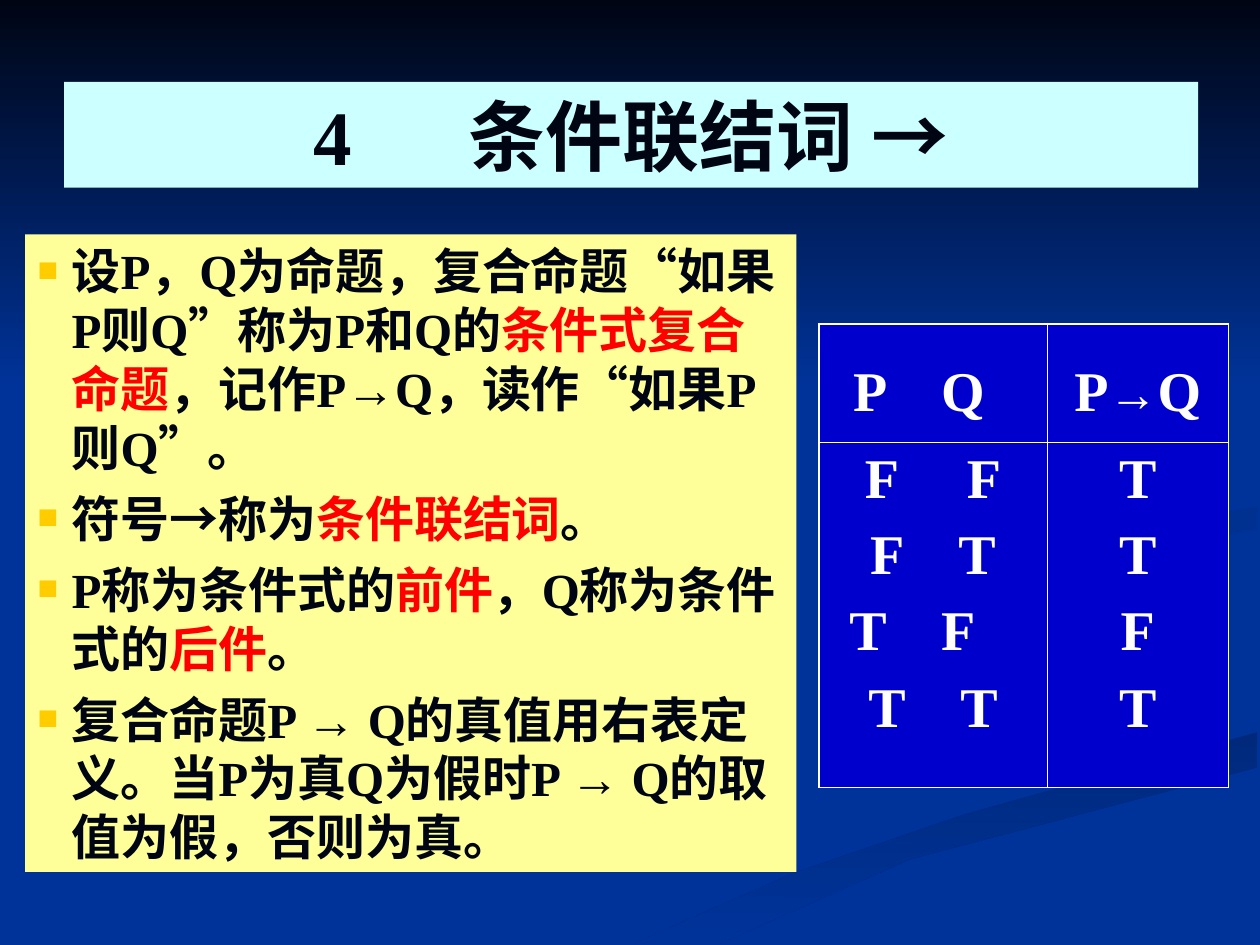
"""Build a slide that defines the conditional connective with its truth table."""
from dataclasses import dataclass
from typing import NamedTuple

from lxml import etree
from pptx import Presentation
from pptx.dml.color import RGBColor
from pptx.enum.text import MSO_ANCHOR, MSO_AUTO_SIZE, PP_ALIGN
from pptx.oxml.ns import qn
from pptx.util import Inches, Pt

CENTER = PP_ALIGN.CENTER
LEFT = PP_ALIGN.LEFT
MIDDLE = MSO_ANCHOR.MIDDLE
TOP = MSO_ANCHOR.TOP
FIXED = MSO_AUTO_SIZE.NONE


@dataclass(frozen=True)
class Theme:
    """Hold the colours and type sizes."""
    font: str = "Times New Roman"
    back: str = "003399"
    shade: str = "00297C"
    ink: str = "000514"
    red: str = "FF0000"
    white: str = "FFFFFF"
    aqua: str = "CCFFFF"
    cream: str = "FFFF99"
    blue: str = "0000CC"
    gold: str = "FFCC00"
    head: int = 44
    body: int = 28
    cell: int = 32
    thick: float = 1.08
    thin: float = 0.45


THEME = Theme()


class Wave(NamedTuple):
    """Describe a shaded outline, with points in hundredths of an inch."""
    first: str
    last: str
    angle: int
    points: list


class Run(NamedTuple):
    """Describe a piece of text with its own colour or size."""
    text: str
    color: str = ""
    size: int = 0


class Row(NamedTuple):
    """Describe a line of a table cell and its tab stops."""
    runs: list
    stops: tuple = ()


WAVES = [
    Wave(THEME.shade, THEME.back, 90, [
        (503, 749), (571, 749), (722, 682), (998, 609), (998, 581), (764, 647),
        (630, 693)]),
    Wave(THEME.back, THEME.shade, 225, [
        (781, 460), (826, 496), (805, 472), (843, 448), (998, 420), (998, 402),
        (821, 433)]),
    Wave(THEME.ink, THEME.back, 90, [(0, 0), (0, 308), (1000, 308), (1000, 0)]),
]

POINTS = [
    [Run("设P，Q为命题，复合命题“如果P则Q”称为P和Q的"),
     Run("条件式复合命题", THEME.red), Run("，记作P→Q，读作“如果P则Q”。")],
    [Run("符号→称为"), Run("条件联结词", THEME.red), Run("。")],
    [Run("P称为条件式的"), Run("前件", THEME.red), Run("，Q称为条件式的"),
     Run("后件", THEME.red), Run("。")],
    [Run("复合命题P → Q的真值用右表定义。当P为真Q为假时P → Q的取值为假，否则为真。")],
]

CELLS = [
    [[Row([Run("P\tQ\t")], (0.7, 1.27))],
     [Row([Run("P"), Run("→", size=THEME.body), Run("Q")])]],
    [[Row([Run("F\tF")], (0.81,)), Row([Run("F\tT")], (0.7,)),
      Row([Run("T\tF\t")], (0.73, 1.33)), Row([Run("T\tT")], (0.73,))],
     [Row([Run(mark)]) for mark in "TTFT"]],
]


def paint(fill, color: str) -> None:
    """Give a fill one solid colour."""
    fill.solid()
    fill.fore_color.rgb = RGBColor.from_string(color)


def draw_wave(slide, wave: Wave) -> None:
    """Draw one outline of the backdrop."""
    pen = slide.shapes.build_freeform(*wave.points[0], scale=Inches(0.01))
    pen.add_line_segments(wave.points[1:], close=True)
    shape = pen.convert_to_shape()
    shape.shadow.inherit = False
    shape.line.fill.background()
    shape.fill.gradient()
    shape.fill.gradient_angle = 360 - wave.angle
    for stop, color in zip(shape.fill.gradient_stops, (wave.first, wave.last)):
        stop.color.rgb = RGBColor.from_string(color)


def add_stops(para, stops: tuple) -> None:
    """Add left tab stops to a paragraph."""
    if stops:
        tabs = etree.SubElement(para._p.get_or_add_pPr(), qn("a:tabLst"))
        for stop in stops:
            etree.SubElement(tabs, qn("a:tab"), pos=str(Inches(stop)), algn="l")


def add_bullet(para) -> None:
    """Add a small gold square and a hanging indent to a paragraph."""
    props = para._p.get_or_add_pPr()
    props.set("marL", str(Inches(0.27)))
    props.set("indent", str(-Inches(0.27)))
    tint = etree.SubElement(props, qn("a:buClr"))
    etree.SubElement(tint, qn("a:srgbClr"), val=THEME.gold)
    etree.SubElement(props, qn("a:buSzPct"), val="70000")
    etree.SubElement(props, qn("a:buFont"), typeface=THEME.font)
    etree.SubElement(props, qn("a:buChar"), char="■")


def write(para, runs: list, size: int, color: str, align) -> None:
    """Write runs into a paragraph and set its font."""
    para.alignment = align
    font = para.font
    font.name, font.size, font.bold = THEME.font, Pt(size), True
    mixed = any(run.color for run in runs)
    if not mixed:
        font.color.rgb = RGBColor.from_string(color)
    for run in runs:
        piece = para.add_run()
        piece.text = run.text
        if mixed:
            piece.font.color.rgb = RGBColor.from_string(run.color or color)
        if run.size:
            piece.font.size = Pt(run.size)


def next_para(frame, index: int, space: int):
    """Return the first paragraph, or a new one with space before it."""
    if index == 0:
        return frame.paragraphs[0]
    para = frame.add_paragraph()
    para.space_before = Pt(space)
    return para


def set_frame(frame, anchor) -> None:
    """Make a text frame wrap at a fixed size."""
    frame.word_wrap = True
    frame.auto_size = FIXED
    frame.vertical_anchor = anchor


def draw_title(slide) -> None:
    """Place the title in front of the backdrop."""
    title = slide.shapes.title
    title.element.getparent().append(title.element)
    title.left, title.top = Inches(0.51), Inches(0.65)
    title.width, title.height = Inches(9), Inches(0.84)
    paint(title.fill, THEME.aqua)
    set_frame(title.text_frame, MIDDLE)
    para = title.text_frame.paragraphs[0]
    add_stops(para, (1.23,))
    write(para, [Run("4\t条件联结词 →")], THEME.head, THEME.ink, CENTER)


def draw_body(slide) -> None:
    """Draw the panel of bullet points."""
    box = slide.shapes.add_textbox(Inches(0.2), Inches(1.86), Inches(6.12), Inches(5.06))
    paint(box.fill, THEME.cream)
    set_frame(box.text_frame, TOP)
    for index, runs in enumerate(POINTS):
        para = next_para(box.text_frame, index, 7)
        add_bullet(para)
        write(para, runs, THEME.body, THEME.ink, LEFT)


def add_edge(cell, side: str, width: float) -> None:
    """Add a white border to one side of a cell."""
    props = cell._tc.get_or_add_tcPr()
    line = etree.SubElement(props, qn(f"a:ln{side}"), w=str(Pt(width)))
    fill = etree.SubElement(line, qn("a:solidFill"))
    etree.SubElement(fill, qn("a:srgbClr"), val=THEME.white)


def draw_table(slide) -> None:
    """Draw the truth table."""
    frame = slide.shapes.add_table(2, 2, Inches(6.5), Inches(2.57), Inches(3.25), Inches(3.68))
    table = frame.table
    table.first_row = table.horz_banding = False
    for index, (width, height) in enumerate(((1.81, 0.94), (1.44, 2.74))):
        table.columns[index].width = Inches(width)
        table.rows[index].height = Inches(height)
    for r, line in enumerate(CELLS):
        for c, rows in enumerate(line):
            cell = table.cell(r, c)
            outer = {"L": c == 0, "R": c == 1, "T": r == 0, "B": r == 1}
            for side, edge in outer.items():
                add_edge(cell, side, THEME.thick if edge else THEME.thin)
            paint(cell.fill, THEME.blue)
            for index, row in enumerate(rows):
                para = next_para(cell.text_frame, index, 8)
                add_stops(para, row.stops)
                if r == 0:
                    para.line_spacing = 1.5
                write(para, row.runs, THEME.cell, THEME.white, CENTER)


def main() -> None:
    """Build and save the slide."""
    deck = Presentation()
    deck.slide_width, deck.slide_height = Inches(10), Inches(7.5)
    slide = deck.slides.add_slide(deck.slide_layouts[5])
    paint(slide.background.fill, THEME.back)
    for wave in WAVES:
        draw_wave(slide, wave)
    draw_title(slide)
    draw_body(slide)
    draw_table(slide)
    deck.save("out.pptx")


if __name__ == "__main__":
    main()
